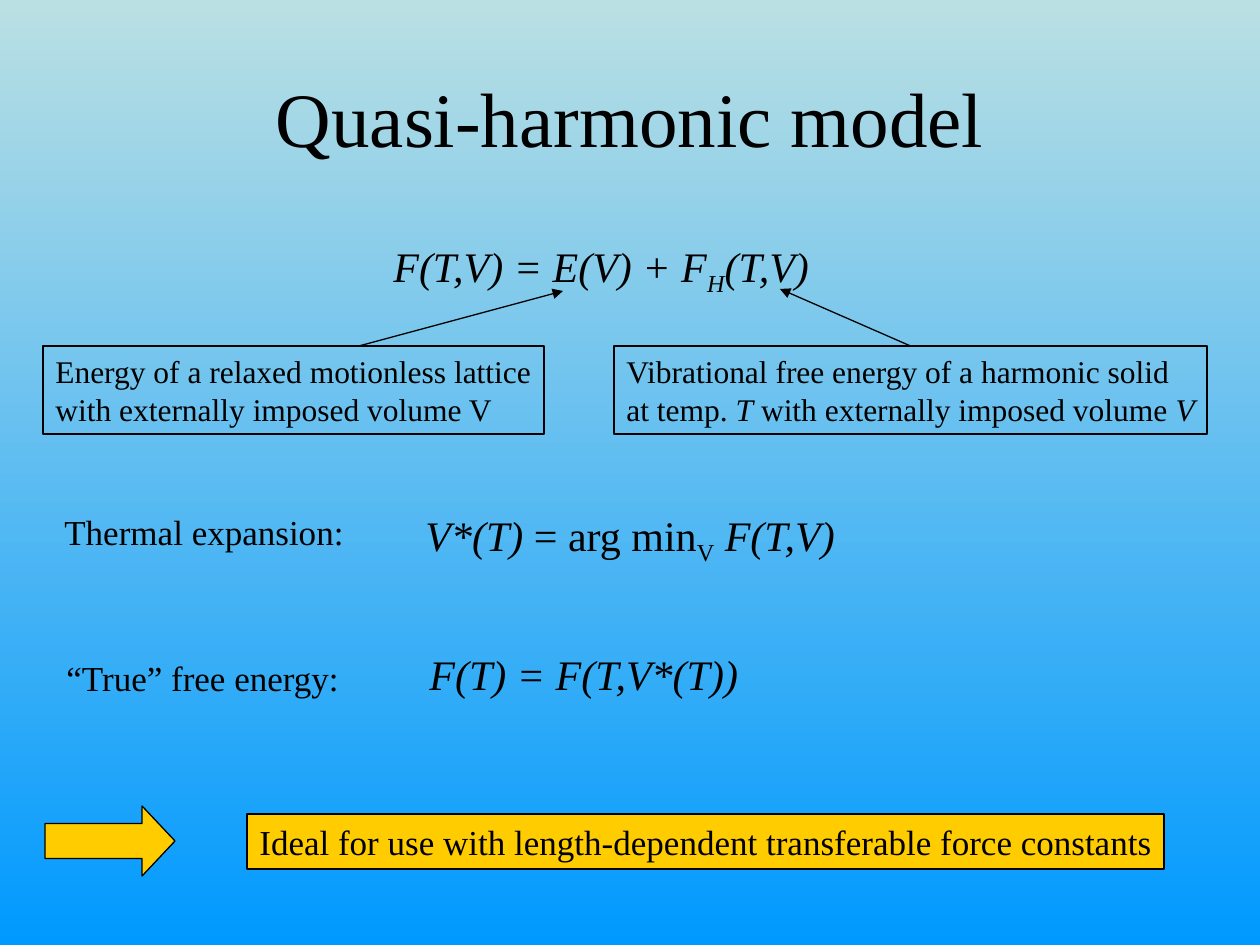
from lxml.etree import SubElement
from pptx import Presentation
from pptx.dml.color import RGBColor
from pptx.enum.shapes import MSO_CONNECTOR, MSO_SHAPE
from pptx.enum.text import MSO_ANCHOR, MSO_AUTO_SIZE, PP_ALIGN
from pptx.oxml.ns import qn
from pptx.util import Emu, Pt

FONT = "Times New Roman"
BLACK, GOLD = "000000", "FFCC00"


def px(*vals):
    """Turn pixels (126 to the inch) into EMU."""
    return [Emu(round(v * 914400 / 126)) for v in vals]


def rgb(code):
    return RGBColor.from_string(code)


prs = Presentation()
prs.slide_width, prs.slide_height = px(1260, 945)
slide = prs.slides.add_slide(prs.slide_layouts[5])
shapes = slide.shapes

back = slide.background.fill
back.gradient()
back.gradient_angle = 270
for stop, code in zip(back.gradient_stops, ("BBE0E3", "0099FF")):
    stop.color.rgb = rgb(code)

title = shapes.title
title.left, title.top, title.width, title.height = px(63, 38, 1134, 158)
title.text_frame.vertical_anchor = MSO_ANCHOR.MIDDLE
para = title.text_frame.paragraphs[0]
para.alignment = PP_ALIGN.CENTER
run = para.add_run()
run.text = "Quasi-harmonic model"
run.font.name, run.font.size = FONT, Pt(44)
run.font.color.rgb = rgb(BLACK)

# Each text: place, size, look, then paragraphs of (words, style) runs;
# style "i" is italic and "s" is subscript
texts = [
    ((381, 234, 447, 70), 24, "plain",
     [[("F(T,V) = E(V) + F", "i"), ("H", "is"), ("(T,V)", "i")]]),
    ((413, 503, 449, 70), 24, "plain",
     [[("V*(T)", "i"), (" = arg min", ""), ("V", "s"), (" F(T,V)", "i")]]),
    ((417, 642, 348, 63), 24, "plain", [[("F(T) = F(T,V*(T))", "i")]]),
    ((43, 346, 501, 88), 18, "frame",
     [[("Energy of a relaxed motionless lattice", "")],
      [("with externally imposed volume V", "")]]),
    ((614, 346, 593, 88), 18, "frame",
     [[("Vibrational free energy of a harmonic solid", "")],
      [("at temp. ", ""), ("T", "i"),
       (" with externally imposed volume ", ""), ("V", "i")]]),
    ((52, 504, 305, 55), 20, "plain", [[("Thermal expansion:", "")]]),
    ((54, 650, 300, 55), 20, "plain", [[("“True” free energy:", "")]]),
    ((247, 814, 917, 55), 20, "gold",
     [[("Ideal for use with length-dependent transferable force constants", "")]]),
]
frames = []
for place, size, look, paras in texts:
    if look == "plain":
        box = shapes.add_textbox(*px(*place))
    else:
        box = shapes.add_shape(MSO_SHAPE.RECTANGLE, *px(*place))
        box.shadow.inherit = False
        box.line.color.rgb, box.line.width = rgb(BLACK), Pt(0.75)
        # Leave room so that the longest line stays whole
        box.text_frame.margin_right = 0
        if look == "gold":
            box.fill.solid()
            box.fill.fore_color.rgb = rgb(GOLD)
        else:
            box.fill.background()
            frames.append(box)
    frame = box.text_frame
    frame.word_wrap = False
    frame.auto_size = MSO_AUTO_SIZE.NONE
    frame.vertical_anchor = MSO_ANCHOR.TOP
    for i, runs in enumerate(paras):
        para = frame.add_paragraph() if i else frame.paragraphs[0]
        para.alignment = PP_ALIGN.LEFT
        for words, style in runs:
            run = para.add_run()
            run.text = words
            font = run.font
            font.name, font.size, font.italic = FONT, Pt(size), "i" in style
            font.color.rgb = rgb(BLACK)
            if "s" in style:
                run._r.get_or_add_rPr().set("baseline", "-25000")
    if look != "plain":
        frame.word_wrap = True

# Pointers from the two notes up to the terms of the formula
energy = shapes.add_connector(MSO_CONNECTOR.STRAIGHT, *px(359, 346, 563, 291))
vib = shapes.add_connector(MSO_CONNECTOR.STRAIGHT, *px(911, 346, 780, 289))
vib.begin_connect(frames[1], 0)
for link in (energy, vib):
    link.line.color.rgb, link.line.width = rgb(BLACK), Pt(0.75)
    SubElement(link.line._get_or_add_ln(), qn("a:tailEnd"), type="triangle")
    SubElement(link._element.spPr, qn("a:effectLst"))

arrow = shapes.add_shape(MSO_SHAPE.RIGHT_ARROW, *px(45, 806, 130, 70))
arrow.adjustments[0], arrow.adjustments[1] = 0.5, 0.47
arrow.shadow.inherit = False
arrow.fill.solid()
arrow.fill.fore_color.rgb = rgb(GOLD)
arrow.line.color.rgb, arrow.line.width = rgb(BLACK), Pt(0.75)

prs.save("out.pptx")
